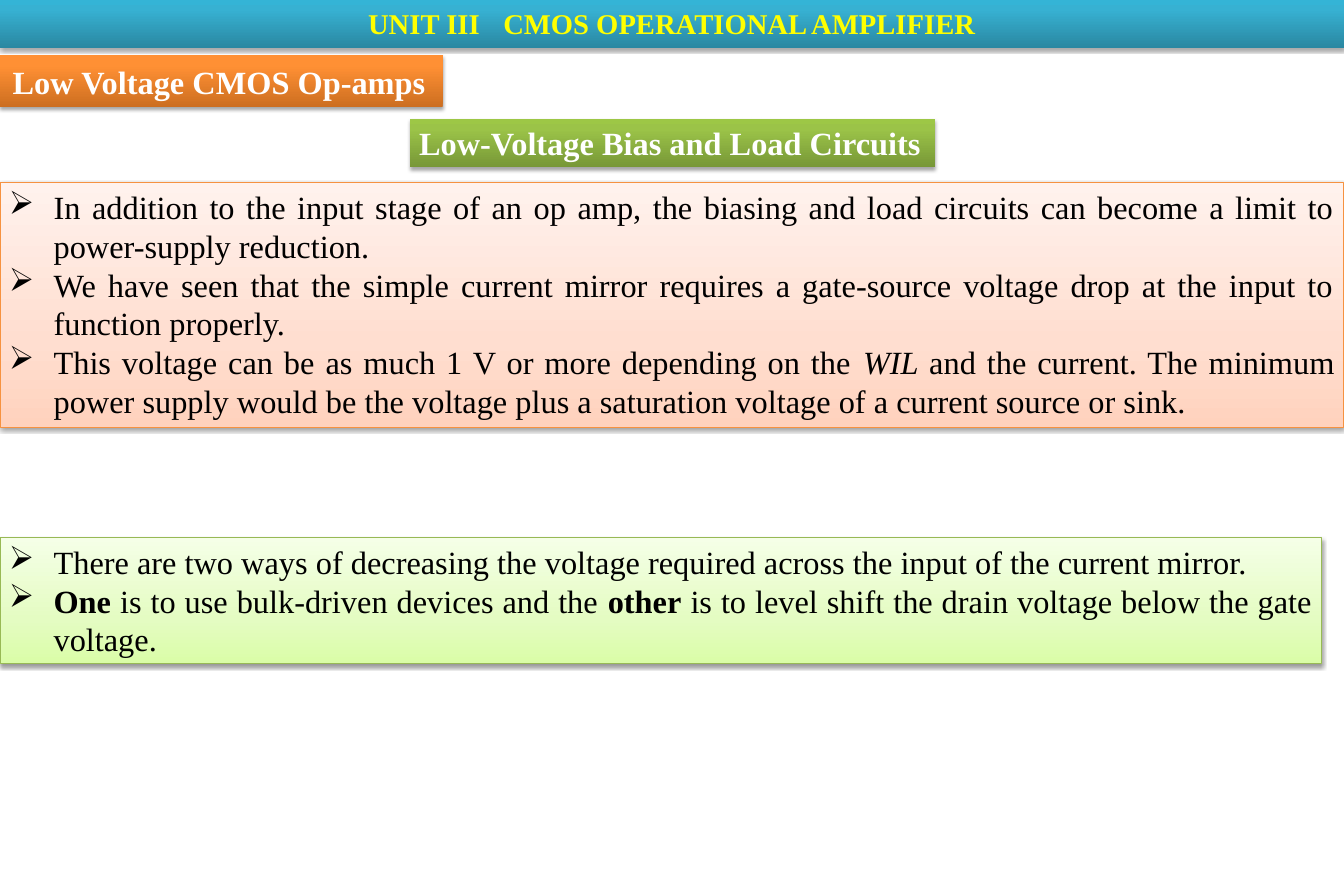
from dataclasses import dataclass

from lxml.etree import SubElement
from pptx import Presentation
from pptx.dml.color import RGBColor
from pptx.enum.shapes import MSO_SHAPE
from pptx.enum.text import MSO_ANCHOR, MSO_AUTO_SIZE, PP_ALIGN
from pptx.oxml.ns import qn
from pptx.util import Cm, Pt


@dataclass(frozen=True)
class Theme:
    """Colours, gradients and type sizes of the slide."""
    font: str = "Times New Roman"
    title_size: int = 23
    text_size: int = 26
    title: str = "FFFF00"
    label: str = "FFFFFF"
    body: str = "000000"
    shadow: str = "000000"
    teal: tuple = ((0, "2A88A2"), (80, "37B1D2"), (100, "34B4D6"))
    orange: tuple = ((0, "CC6E20"), (80, "FF9034"), (100, "FF9136"))
    green: tuple = ((0, "779737"), (80, "9BC348"), (100, "9DC746"))
    peach: tuple = ((0, "FFD2BD"), (35, "FFDED0"), (100, "FFF2ED"))
    lime: tuple = ((0, "DAFDA7"), (35, "E4FCC2"), (100, "F5FFE7"))
    peach_line: str = "F69240"
    lime_line: str = "98B955"


THEME = Theme()

LIMITS = [
    [("In addition to the input stage of an op amp, the biasing and load circuits "
      "can become a limit to power-supply reduction.", "")],
    [("We have seen that the simple current mirror requires a gate-source voltage "
      "drop at the input to function properly.", "")],
    [("This voltage can be as much 1 V or more depending on the ", ""),
     ("WIL ", "italic"),
     ("and the current. The minimum power supply would be the voltage plus a "
      "saturation voltage of a current source or sink.", "")],
]
REMEDIES = [
    [("There are two ways of decreasing the voltage required across the input of "
      "the current mirror.", "")],
    [("One", "bold"), (" is to use bulk-driven devices and the ", ""),
     ("other", "bold"),
     (" is to level shift the drain voltage below the gate voltage.", "")],
]


def add_color(parent, color):
    """Add an RGB colour element and return it."""
    return SubElement(parent, qn("a:srgbClr"), val=color)


def fill_gradient(s, stops):
    """Fill a shape with a gradient that runs from bottom to top."""
    s.fill.gradient()
    s.fill.gradient_angle = 90
    stop_list = s._element.spPr.find(".//" + qn("a:gsLst"))
    for stop in list(stop_list):
        stop_list.remove(stop)
    for position, color in stops:
        add_color(SubElement(stop_list, qn("a:gs"), pos=str(position * 1000)), color)


def add_shadow(s, opacity, distance):
    """Give a shape a soft shadow that falls straight down."""
    s.shadow.inherit = False
    effects = s._element.spPr.find(qn("a:effectLst"))
    shadow = SubElement(effects, qn("a:outerShdw"), blurRad=str(Pt(3.1)),
                        dist=str(Pt(distance)), dir="5400000", rotWithShape="0")
    SubElement(add_color(shadow, THEME.shadow), qn("a:alpha"), val=str(opacity * 1000))


def add_panel(slide, box, stops, line=None):
    """Add a gradient rectangle and return its text frame."""
    s = slide.shapes.add_shape(MSO_SHAPE.RECTANGLE, *map(Cm, box))
    fill_gradient(s, stops)
    if line:
        s.line.color.rgb = RGBColor.from_string(line)
        s.line.width = Pt(0.75)
        add_shadow(s, 38, 1.6)
    else:
        s.line.fill.background()
        add_shadow(s, 35, 1.8)
    tf = s.text_frame
    tf.vertical_anchor = MSO_ANCHOR.TOP
    tf.auto_size = MSO_AUTO_SIZE.SHAPE_TO_FIT_TEXT
    tf.word_wrap = True
    return tf


def set_insets(tf):
    """Widen the margins of a text frame."""
    tf.margin_left = tf.margin_right = Cm(0.36)
    tf.margin_top = tf.margin_bottom = Cm(0.18)


def format_run(r, size, color, style=""):
    """Set the typeface, size, colour and style of a run."""
    r.font.name = THEME.font
    r.font.size = Pt(size)
    r.font.color.rgb = RGBColor.from_string(color)
    r.font.bold = style == "bold"
    r.font.italic = style == "italic"


def add_title(slide, text, box):
    """Add the centred title bar with its tab stop."""
    tf = add_panel(slide, box, THEME.teal)
    set_insets(tf)
    p = tf.paragraphs[0]
    p.text = text
    p.alignment = PP_ALIGN.CENTER
    tabs = SubElement(p._p.get_or_add_pPr(), qn("a:tabLst"))
    SubElement(tabs, qn("a:tab"), pos=str(Cm(3.63)), algn="l")
    format_run(p.runs[0], THEME.title_size, THEME.title, "bold")


def add_label(slide, text, box, stops):
    """Add a one-line heading and return its text frame."""
    tf = add_panel(slide, box, stops)
    tf.word_wrap = False
    tf.text = text
    p = tf.paragraphs[0]
    p.alignment = PP_ALIGN.LEFT
    format_run(p.runs[0], THEME.text_size, THEME.label, "bold")
    return tf


def add_bullets(slide, items, box, stops, line):
    """Add a panel of justified bullet points."""
    tf = add_panel(slide, box, stops, line)
    for i, parts in enumerate(items):
        p = tf.add_paragraph() if i else tf.paragraphs[0]
        p.alignment = PP_ALIGN.JUSTIFY
        props = p._p.get_or_add_pPr()
        props.set("marL", str(Cm(1.27)))
        props.set("indent", str(-Cm(1.27)))
        SubElement(props, qn("a:buChar"), char="➢")
        for text, style in parts:
            r = p.add_run()
            r.text = text
            format_run(r, THEME.text_size, THEME.body, style)


def main():
    """Build the slide and save it."""
    prs = Presentation()
    prs.slide_width, prs.slide_height = Cm(38.1), Cm(25.4)
    slide = prs.slides.add_slide(prs.slide_layouts[6])
    topic = add_label(slide, "Low Voltage CMOS Op-amps", (0, 1.57, 12.55, 1.47), THEME.orange)
    set_insets(topic)
    add_title(slide, "UNIT III\t CMOS OPERATIONAL AMPLIFIER", (0, 0, 38.1, 1.35))
    add_label(slide, "Low-Voltage Bias and Load Circuits", (11.63, 3.38, 14.88, 1.37), THEME.green)
    add_bullets(slide, LIMITS, (0, 5.18, 38.1, 6.93), THEME.peach, THEME.peach_line)
    add_bullets(slide, REMEDIES, (0, 15.24, 37.47, 3.58), THEME.lime, THEME.lime_line)
    prs.save("out.pptx")


if __name__ == "__main__":
    main()
